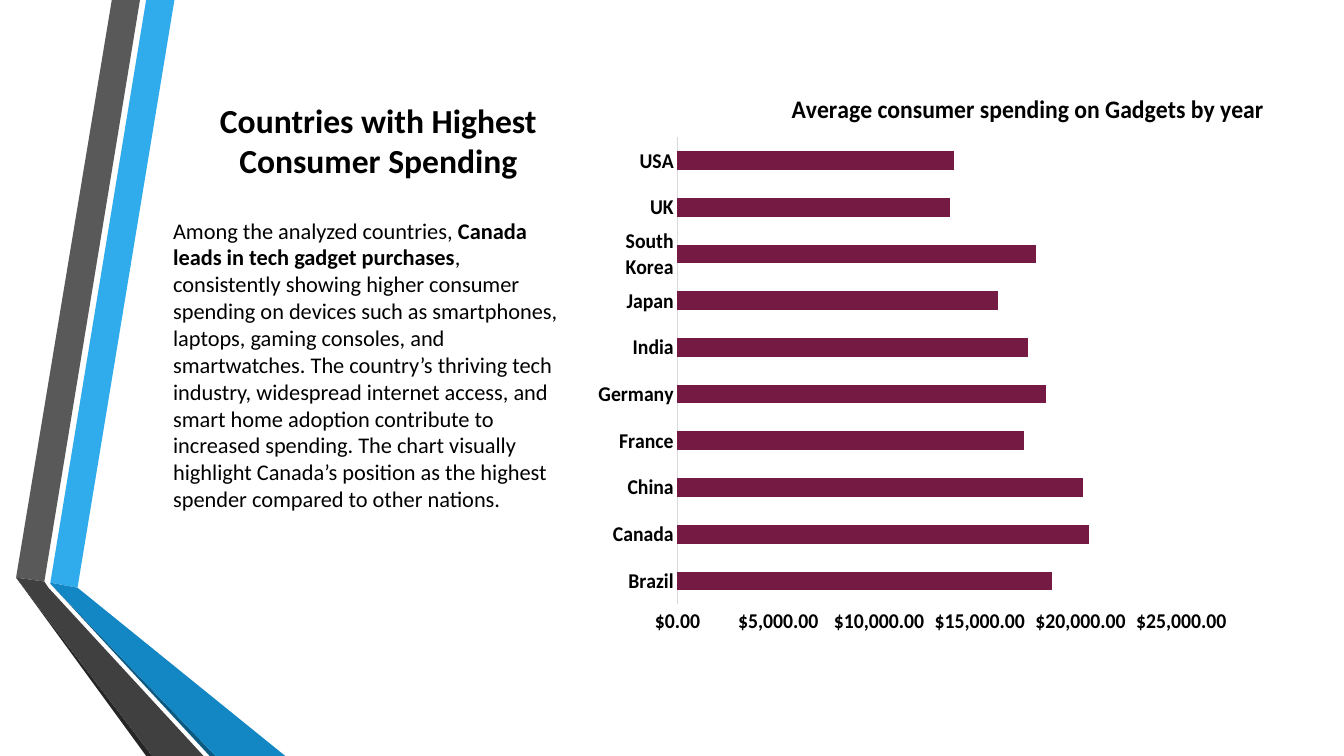
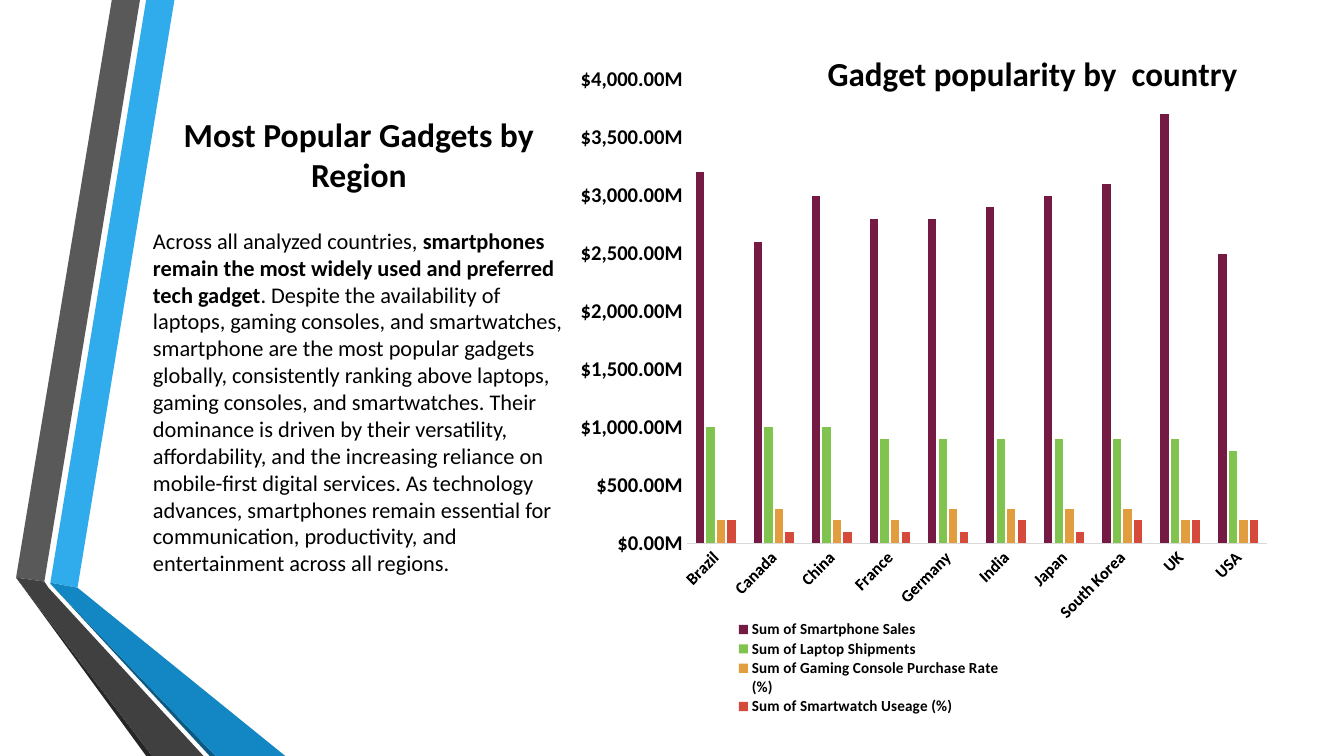
from lxml import etree
from pptx import Presentation
from pptx.chart.data import CategoryChartData
from pptx.dml.color import RGBColor
from pptx.enum.chart import XL_CHART_TYPE as ChartType
from pptx.enum.chart import XL_LEGEND_POSITION as LegendPosition
from pptx.enum.chart import XL_TICK_MARK as TickMark
from pptx.enum.text import MSO_ANCHOR as Anchor
from pptx.enum.text import PP_ALIGN as Align
from pptx.oxml.ns import qn
from pptx.util import Pt

FONT = "Calibri"
COLORS = {
    "text": "000000", "axis": "D9D9D9",
    "sky": "30ACEC", "blue": "1287C3", "navy": "0C5A82",
    "gray": "595959", "charcoal": "404040", "black": "262626",
    "plum": "751A43", "green": "80C34F", "orange": "E29D3E", "red": "D64A3B",
}
# Outlines of the folded ribbons, in points, from back to front
RIBBONS = [
    ("sky", [(36, 416.2), (55.4, 419.8), (124.6, 0), (104.4, 0)]),
    ("gray", [(100, 0), (79.9, 0), (11.5, 412.6), (31.7, 415.4)]),
    ("black", [(11.5, 412.6), (104.4, 540), (108.7, 540)]),
    ("navy", [(36, 416.9), (149.8, 540), (154, 540)]),
    ("blue", [(36, 416.9), (154, 540), (203.8, 540), (55.4, 419.8), (36, 416.2)]),
    ("charcoal", [(145.4, 540), (34.6, 419.8), (31.7, 415.4), (11.5, 412.6), (108.7, 540)]),
]
COUNTRIES = ["Brazil", "Canada", "China", "France", "Germany",
             "India", "Japan", "South Korea", "UK", "USA"]

SPENDING = {
    "title": "Countries with Highest Consumer Spending",
    "title_box": (116.6, 64, 307.4, 68.4),
    "body": [
        ("Among the analyzed countries, ", False),
        ("Canada leads in tech gadget purchases", True),
        (", consistently showing higher consumer spending on devices such as "
         "smartphones, laptops, gaming consoles, and smartwatches. The country’s "
         "thriving tech industry, widespread internet access, and smart home "
         "adoption contribute to increased spending. The chart visually highlight "
         "Canada’s position as the highest spender compared to other nations.", False),
    ],
    "body_box": (116.6, 142.6, 297.4, 235.4),
    "chart_box": (414.7, 54, 491, 401.8),
    "chart": {
        "kind": ChartType.BAR_STACKED,
        "title": "Average consumer spending on Gadgets by year",
        "title_size": 18, "title_at": (0.32, 0.02),
        "plot_at": (0.15, 0.11, 0.78, 0.83),
        "gap": 150, "overlap": 100,
        "category_size": 15, "maximum": 25000, "step": 5000,
        "number_format": '"$"#,##0.00',
        "series": [("Series 1", "plum",
                    [18600, 20400, 20100, 17200, 18300,
                     17400, 15900, 17800, 13500, 13700])],
    },
}
POPULARITY = {
    "title": "Most Popular Gadgets by Region",
    "title_box": (116.6, 69.8, 279.4, 72.8),
    "body": [
        ("Across all analyzed countries, ", False),
        ("smartphones remain the most widely used and preferred tech gadget", True),
        (". Despite the availability of laptops, gaming consoles, and smartwatches, "
         "smartphone are the most popular gadgets globally, consistently ranking "
         "above laptops, gaming consoles, and smartwatches. Their dominance is "
         "driven by their versatility, affordability, and the increasing reliance "
         "on mobile-first digital services. As technology advances, smartphones "
         "remain essential for communication, productivity, and entertainment "
         "across all regions.", False),
    ],
    "body_box": (102.2, 141.8, 308.9, 290.2),
    "chart_box": (414.7, 17.3, 491, 494.6),
    "chart": {
        "kind": ChartType.COLUMN_CLUSTERED,
        "title": "Gadget popularity by  country",
        "title_size": 24, "title_at": (0.34, 0.03),
        "plot_at": (0.14, 0.08, 0.86, 0.67),
        "legend_at": (0.2, 0.86, 0.42, 0.14),
        "gap": 219, "overlap": -27,
        "category_size": 12, "maximum": 4000, "step": 500,
        "number_format": '"$"#,##0.00"M"',
        "series": [
            ("Sum of Smartphone Sales", "plum",
             [3200, 2600, 3000, 2800, 2800, 2900, 3000, 3100, 3700, 2500]),
            ("Sum of Laptop Shipments", "green",
             [1000, 1000, 1000, 900, 900, 900, 900, 900, 900, 800]),
            ("Sum of Gaming Console Purchase Rate (%)", "orange",
             [200, 300, 200, 200, 300, 300, 300, 300, 200, 200]),
            ("Sum of Smartwatch Useage (%)", "red",
             [200, 100, 100, 100, 100, 200, 100, 200, 200, 200]),
        ],
    },
}


def color(name):
    return RGBColor.from_string(COLORS[name])


def set_all(target, **values):
    for name, value in values.items():
        setattr(target, name, value)


def style_font(font, size, bold):
    set_all(font, name=FONT, size=Pt(size), bold=bold)
    font.color.rgb = color("text")


def add_ribbons(slide):
    ribbons = slide.shapes.add_group_shape()
    for fill, outline in RIBBONS:
        start, *others = [(Pt(x), Pt(y)) for x, y in outline]
        builder = ribbons.shapes.build_freeform(*start, scale=1.0)
        builder.add_line_segments(others, close=True)
        ribbon = builder.convert_to_shape()
        ribbon.shadow.inherit = False
        ribbon.fill.solid()
        ribbon.fill.fore_color.rgb = color(fill)
        ribbon.line.fill.background()


def add_text(slide, box, runs, size, anchor, align):
    """Place one paragraph made of (text, bold) runs."""
    frame = slide.shapes.add_textbox(*map(Pt, box)).text_frame
    set_all(frame, word_wrap=True, vertical_anchor=anchor)
    paragraph = frame.paragraphs[0]
    paragraph.alignment = align
    for text, bold in runs:
        run = paragraph.add_run()
        run.text = text
        style_font(run.font, size, bold)


def set_layout(part, place, inner=False):
    """Pin a chart part at x, y (and w, h), as fractions of the chart."""
    for old in part.findall(qn("c:layout")):
        part.remove(old)
    layout = etree.Element(qn("c:layout"))
    manual = etree.SubElement(layout, qn("c:manualLayout"))
    settings = [("layoutTarget", "inner")] if inner else []
    settings += [("xMode", "edge"), ("yMode", "edge"), *zip("xywh", place)]
    for tag, value in settings:
        etree.SubElement(manual, qn(f"c:{tag}")).set("val", str(value))
    leading = [child for child in part if child.tag in (qn("c:tx"), qn("c:legendPos"))]
    part.insert(len(leading), layout)


def style_axes(chart, look):
    categories, values = chart.category_axis, chart.value_axis
    for axis, size in ((categories, look["category_size"]), (values, 15)):
        set_all(axis, has_major_gridlines=False,
                major_tick_mark=TickMark.NONE, minor_tick_mark=TickMark.NONE)
        style_font(axis.tick_labels.font, size, True)
    categories.format.line.color.rgb = color("axis")
    categories.format.line.width = Pt(0.75)
    values.format.line.fill.background()
    set_all(values, minimum_scale=0, maximum_scale=look["maximum"],
            major_unit=look["step"])
    set_all(values.tick_labels, number_format=look["number_format"],
            number_format_is_linked=False)


def add_gadget_chart(slide, box, look):
    data = CategoryChartData()
    data.categories = COUNTRIES
    for name, _, values in look["series"]:
        data.add_series(name, values)
    chart = slide.shapes.add_chart(look["kind"], *map(Pt, box), data).chart
    style_font(chart.font, 10, False)

    plot = chart.plots[0]
    set_all(plot, gap_width=look["gap"], overlap=look["overlap"],
            vary_by_categories=False)
    for series, (_, fill, _) in zip(plot.series, look["series"]):
        series.format.fill.solid()
        series.format.fill.fore_color.rgb = color(fill)
    style_axes(chart, look)

    heading = chart.chart_title.text_frame
    heading.text = look["title"]
    style_font(heading.paragraphs[0].runs[0].font, look["title_size"], True)
    chart_xml = chart.element.find(qn("c:chart"))
    set_layout(chart_xml.find(qn("c:title")), look["title_at"])
    set_layout(chart_xml.find(qn("c:plotArea")), look["plot_at"], inner=True)

    chart.has_legend = "legend_at" in look
    if chart.has_legend:
        set_all(chart.legend, position=LegendPosition.BOTTOM, include_in_layout=False)
        style_font(chart.legend.font, 11, True)
        set_layout(chart_xml.find(qn("c:legend")), look["legend_at"])


def add_chart_slide(deck, content):
    slide = deck.slides.add_slide(deck.slide_layouts[6])
    add_ribbons(slide)
    add_text(slide, content["title_box"], [(content["title"], True)],
             24, Anchor.BOTTOM, Align.CENTER)
    add_text(slide, content["body_box"], content["body"],
             16, Anchor.MIDDLE, Align.LEFT)
    add_gadget_chart(slide, content["chart_box"], content["chart"])


def main():
    deck = Presentation()
    set_all(deck, slide_width=Pt(960), slide_height=Pt(540))
    for content in (SPENDING, POPULARITY):
        add_chart_slide(deck, content)
    deck.save("out.pptx")


if __name__ == "__main__":
    main()
